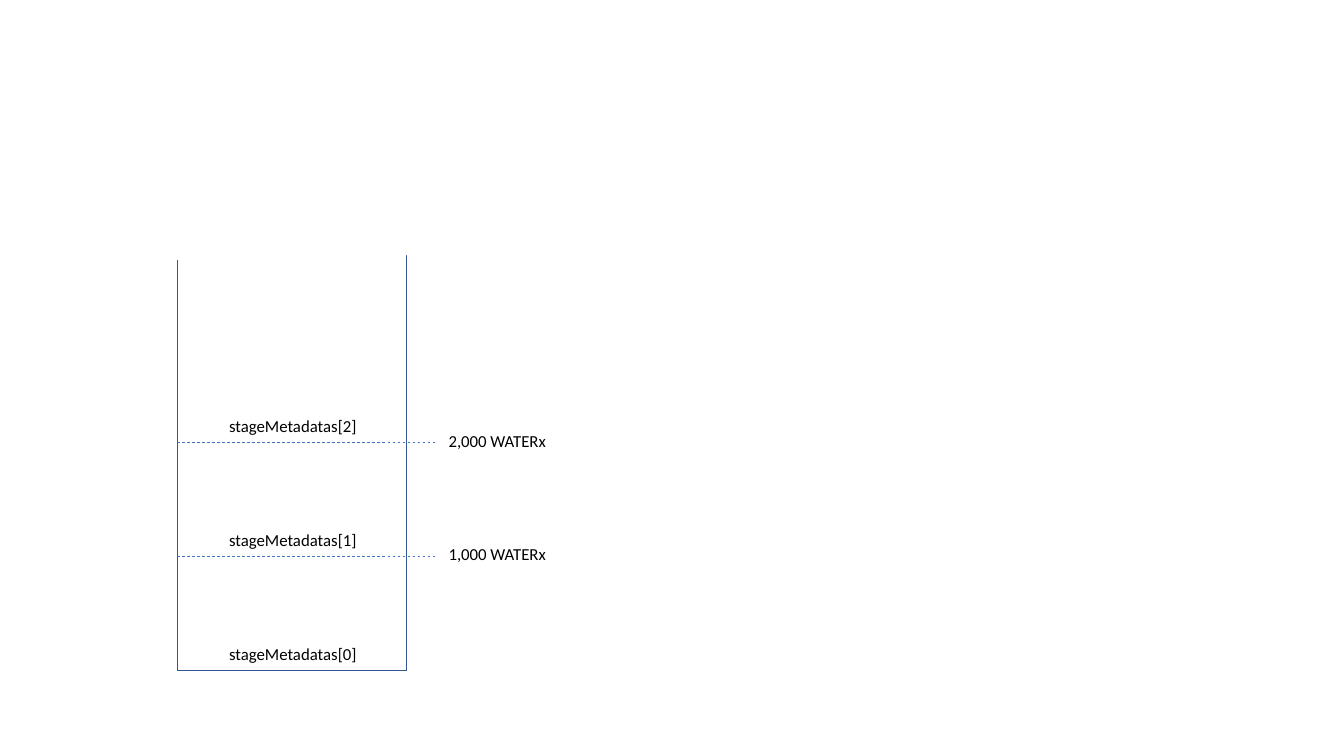
from lxml import etree
from pptx import Presentation
from pptx.dml.color import RGBColor
from pptx.enum.dml import MSO_LINE
from pptx.enum.shapes import MSO_CONNECTOR, MSO_SHAPE
from pptx.enum.text import MSO_AUTO_SIZE, PP_ALIGN
from pptx.oxml.ns import qn
from pptx.util import Inches, Pt

STRAIGHT = MSO_CONNECTOR.STRAIGHT
RECTANGLE = MSO_SHAPE.RECTANGLE
DASH = MSO_LINE.DASH
LEFT, CENTER = PP_ALIGN.LEFT, PP_ALIGN.CENTER
FIT_SHAPE = MSO_AUTO_SIZE.SHAPE_TO_FIT_TEXT

COLORS = {"wall": "325491", "level": "4472C4", "open": "FFFFFF", "text": "000000"}
LABEL_FONT = {"name": "Calibri", "size": Pt(12)}

STAGES = ["stageMetadatas[0]", "stageMetadatas[1]", "stageMetadatas[2]"]
VOLUMES = ["", "1,000 WATERx", "2,000 WATERx"]
STAGE_HEIGHT = 1.13
LABEL_HEIGHT = 0.3


def style_line(line, color, width):
    line.color.rgb = RGBColor.from_string(COLORS[color])
    line.width = Pt(width)


def add_horizontal(slide, left, right, y, color, width):
    connector = slide.shapes.add_connector(
        STRAIGHT, Inches(left), Inches(y), Inches(right), Inches(y))
    etree.SubElement(connector._element.spPr, qn("a:effectLst"))
    style_line(connector.line, color, width)
    return connector


def add_label(slide, text, left, top, width, align):
    box = slide.shapes.add_textbox(
        Inches(left), Inches(top), Inches(width), Inches(LABEL_HEIGHT))
    frame = box.text_frame
    frame.word_wrap = True
    frame.auto_size = FIT_SHAPE
    para = frame.paragraphs[0]
    para.alignment = align
    span = para.add_run()
    span.text = text
    for name, value in LABEL_FONT.items():
        setattr(span.font, name, value)
    span.font.color.rgb = RGBColor.from_string(COLORS["text"])


def add_tank(slide, left, top, width, height):
    # Walls, with a white stroke that opens the top
    tank = slide.shapes.add_shape(
        RECTANGLE, Inches(left), Inches(top), Inches(width), Inches(height))
    tank.shadow.inherit = False
    tank.fill.background()
    style_line(tank.line, "wall", 1)
    add_horizontal(slide, left, left + width, top, "open", 6)

    # Stages, counted up from the floor
    for index, (stage, volume) in enumerate(zip(STAGES, VOLUMES)):
        level = top + height - index * STAGE_HEIGHT
        add_label(slide, stage, left - 0.02, level - 0.31, width + 0.06, CENTER)
        if volume:
            end = left + width + 0.3
            mark = add_horizontal(slide, left, end, level, "level", 0.5)
            mark.line.dash_style = DASH
            add_label(slide, volume, end + 0.02, level - 0.17, 1.82, LEFT)


def main():
    deck = Presentation()
    deck.slide_width, deck.slide_height = Inches(13.33), Inches(7.5)
    page = deck.slides.add_slide(deck.slide_layouts[6])
    add_tank(page, 1.76, 2.54, 2.27, 4.11)
    deck.save("out.pptx")


if __name__ == "__main__":
    main()
